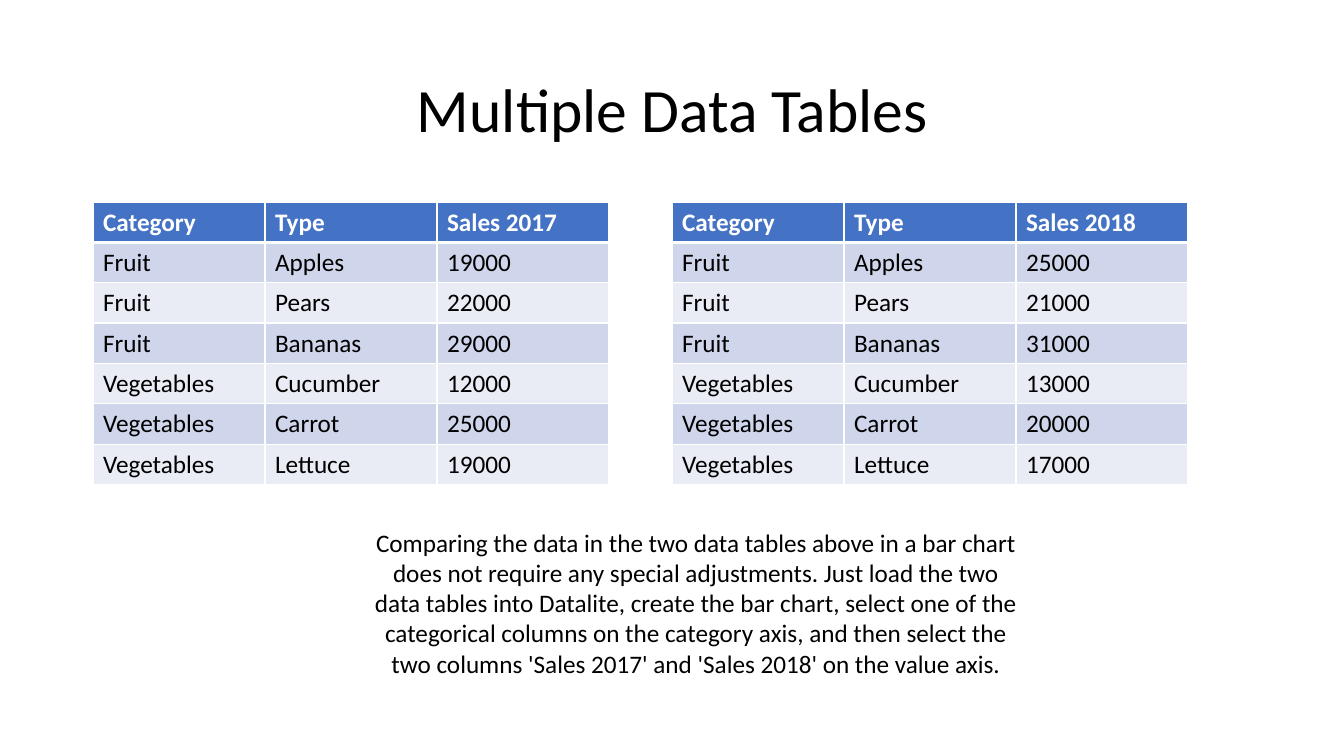
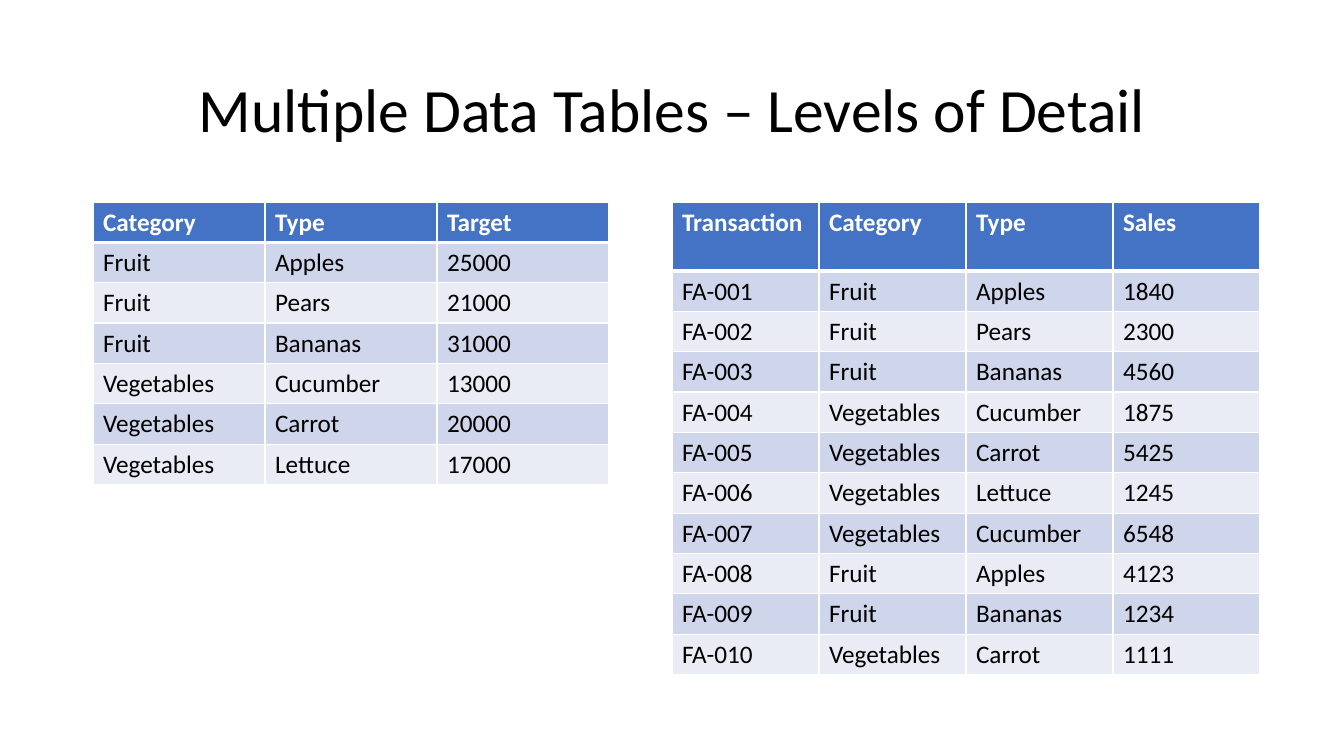
from dataclasses import dataclass

import lxml.etree
import pptx
import pptx.dml.color
import pptx.enum.text
import pptx.oxml.ns
import pptx.util

# Scale, colours and shared formats
WIDE, HIGH = 1344, 756
SCALE = 12192000 / WIDE
FONT = "Calibri"
BLACK, WHITE, BLUE = "000000", "FFFFFF", "4472C4"
BANDS = ("CFD5EA", "E9EBF5")
TEXT = pptx.enum.text
HEAD = {"size": 18, "bold": True, "color": WHITE}
BODY = {"size": 18, "bold": False, "color": BLACK}


@dataclass(frozen=True)
class Box:
    left: int
    top: int
    width: int
    height: int
    font: dict
    frame: dict
    para: dict


@dataclass(frozen=True)
class Grid:
    left: int
    col: int
    head: int
    names: tuple[str, ...]
    rows: list[tuple]


TOP, ROW = 202, 40
TITLE = Box(93, 40, 1159, 146, {"size": 44, "bold": False, "color": BLACK},
            {"vertical_anchor": TEXT.MSO_ANCHOR.MIDDLE},
            {"line_spacing": 0.9})
NOTE = Box(360, 522, 672, 163, BODY,
           {"auto_size": TEXT.MSO_AUTO_SIZE.SHAPE_TO_FIT_TEXT}, {})


# Helpers
def px(count: float) -> int:
    return round(count * SCALE)


def rgb(code: str) -> pptx.dml.color.RGBColor:
    return pptx.dml.color.RGBColor.from_string(code)


def apply(target, values: dict) -> None:
    for name, value in values.items():
        setattr(target, name, value)


def style(run, font: dict) -> None:
    apply(run.font, {"name": FONT, "size": pptx.util.Pt(font["size"]),
                     "bold": font["bold"]})
    run.font.color.rgb = rgb(font["color"])


def write(slide, box: Box, words: str) -> None:
    area = map(px, (box.left, box.top, box.width, box.height))
    frame = slide.shapes.add_textbox(*area).text_frame
    apply(frame, {"word_wrap": True, **box.frame})
    para = frame.paragraphs[0]
    apply(para, {"alignment": TEXT.PP_ALIGN.CENTER, **box.para})
    run = para.add_run()
    run.text = words
    style(run, box.font)


def edge(cell, side: str, points: int) -> None:
    tag = pptx.oxml.ns.qn
    line = lxml.etree.SubElement(cell._tc.get_or_add_tcPr(), tag(f"a:ln{side}"),
                                 w=str(pptx.util.Pt(points)))
    fill = lxml.etree.SubElement(line, tag("a:solidFill"))
    lxml.etree.SubElement(fill, tag("a:srgbClr"), val=WHITE)


def draw(slide, grid: Grid) -> None:
    rows = [grid.names, *grid.rows]
    count = len(grid.names)
    high = grid.head + ROW * len(grid.rows)
    table = slide.shapes.add_table(len(rows), count, px(grid.left), px(TOP),
                                   px(grid.col * count), px(high)).table
    for r, row in enumerate(rows):
        table.rows[r].height = px(ROW if r else grid.head)
        for c, value in enumerate(row):
            cell = table.cell(r, c)
            # The header is parted from the body by a thick line
            for side in "LRTB":
                thick = (r, side) in ((0, "B"), (1, "T"))
                edge(cell, side, 3 if thick else 1)
            cell.fill.solid()
            cell.fill.fore_color.rgb = rgb(BANDS[(r - 1) % 2] if r else BLUE)
            run = cell.text_frame.paragraphs[0].add_run()
            run.text = str(value)
            style(run, BODY if r else HEAD)


# Data
FRUIT = ("Apples", "Pears", "Bananas")
GREENS = ("Cucumber", "Carrot", "Lettuce")
GROUP = {**dict.fromkeys(FRUIT, "Fruit"), **dict.fromkeys(GREENS, "Vegetables")}
PAST = (19000, 22000, 29000, 12000, 25000, 19000)
GOAL = (25000, 21000, 31000, 13000, 20000, 17000)
DEALS = (("Apples", 1840), ("Pears", 2300), ("Bananas", 4560),
         ("Cucumber", 1875), ("Carrot", 5425), ("Lettuce", 1245),
         ("Cucumber", 6548), ("Apples", 4123), ("Bananas", 1234),
         ("Carrot", 1111))


def totals(left: int, label: str, values: tuple[int, ...]) -> Grid:
    rows = [(GROUP[kind], kind, value) for kind, value in zip(GROUP, values)]
    return Grid(left, 172, ROW, ("Category", "Type", label), rows)


LEFT, RIGHT = 93, 672
LOG = Grid(RIGHT, 147, 69, ("Transaction", "Category", "Type", "Sales"),
           [(f"FA-{n:03}", GROUP[kind], kind, value)
            for n, (kind, value) in enumerate(DEALS, 1)])

# Slides
deck = pptx.Presentation()
apply(deck, {"slide_width": px(WIDE), "slide_height": px(HIGH)})


def page(title: str, *grids: Grid):
    slide = deck.slides.add_slide(deck.slide_layouts[6])
    write(slide, TITLE, title)
    for grid in grids:
        draw(slide, grid)
    return slide


sales = page("Multiple Data Tables", totals(LEFT, "Sales 2017", PAST),
             totals(RIGHT, "Sales 2018", GOAL))
write(sales, NOTE,
      "Comparing the data in the two data tables above in a bar chart does not "
      "require any special adjustments. Just load the two data tables into "
      "Datalite, create the bar chart, select one of the categorical columns on "
      "the category axis, and then select the two columns 'Sales 2017' and "
      "'Sales 2018' on the value axis.")
page("Multiple Data Tables – Levels of Detail",
     totals(LEFT, "Target", GOAL), LOG)

deck.save("out.pptx")
